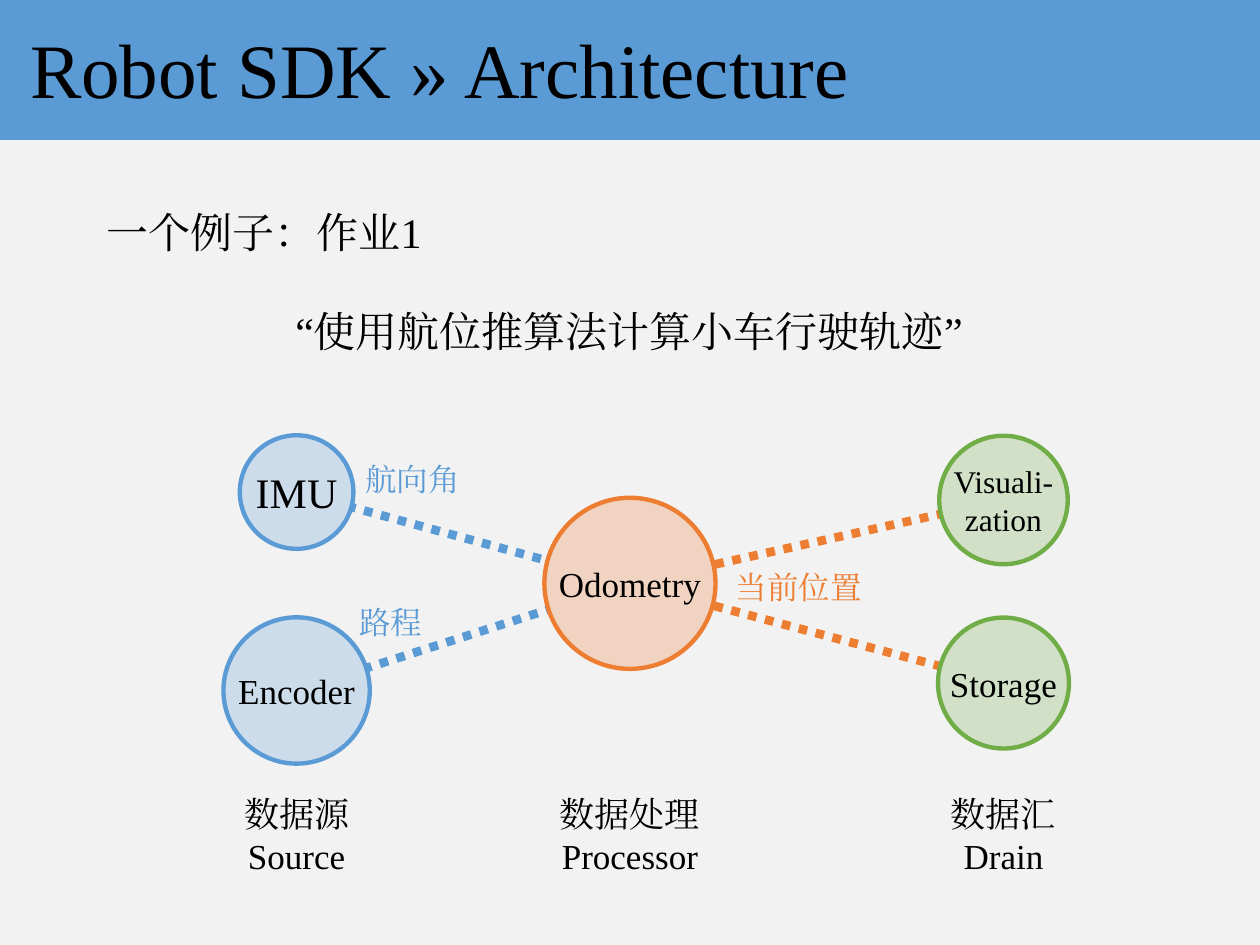
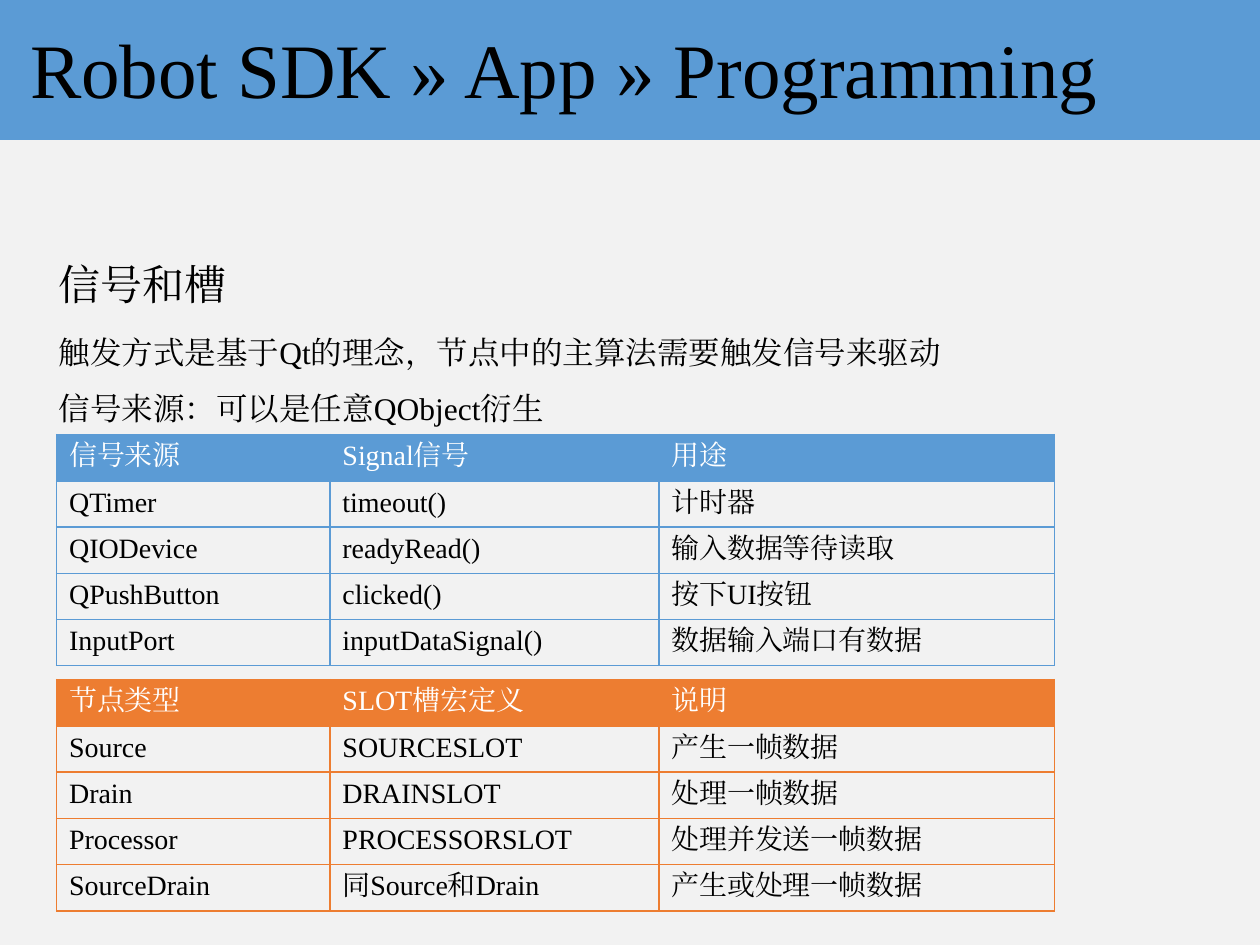
import pptx
import pptx.util
import pptx.dml.color
import pptx.enum.dml
import pptx.enum.shapes
import pptx.enum.text
import pptx.oxml
import pptx.oxml.ns
from lxml import etree

Cm, Pt = pptx.util.Cm, pptx.util.Pt
Shape = pptx.enum.shapes.MSO_SHAPE
Align = pptx.enum.text.PP_ALIGN
Anchor = pptx.enum.text.MSO_ANCHOR
qn = pptx.oxml.ns.qn


class Theme:
    font = "Times New Roman"
    blue, orange, green = "5B9BD5", "ED7D31", "70AD47"
    black, white, paper = "000000", "FFFFFF", "F2F2F2"
    title, head, node, body, cell = 44, 24, 20, 18, 16
    ring, link, rule = 2.5, 5, 1
    tint = 25


WIDE, HIGH = 25.4, 19.05
BAND = 2.82

TITLES = ("Robot SDK » Architecture", "Robot SDK » App » Programming")

LEAD = "一个例子：作业1\n“使用航位推算法计算小车行驶轨迹”"
LEFT, MID, RIGHT = 5.98, 12.7, 20.23
NODES = {
    "IMU": (LEFT, 9.92, 2.29, Theme.blue, Theme.head),
    "Encoder": (LEFT, 13.92, 2.95, Theme.blue, Theme.node),
    "Odometry": (MID, 11.76, 3.45, Theme.orange, Theme.node),
    "Visuali-\nzation": (RIGHT, 10.08, 2.59, Theme.green, Theme.body),
    "Storage": (RIGHT, 13.77, 2.64, Theme.green, Theme.node),
}
LINKS = (
    ("IMU", "Odometry", Theme.blue),
    ("Encoder", "Odometry", Theme.blue),
    ("Odometry", "Visuali-\nzation", Theme.orange),
    ("Odometry", "Storage", Theme.orange),
)
LABELS = (
    ("路程", 6.99, 12.04, 1.8, Theme.blue),
    ("航向角", 7.11, 9.14, 2.72, Theme.blue),
    ("当前位置", 14.58, 11.33, 3.07, Theme.orange),
)
ROLES = (
    ("数据源\nSource", LEFT),
    ("数据处理\nProcessor", MID),
    ("数据汇\nDrain", RIGHT),
)
ROLE_WIDE = 4.29

TOPIC = "信号和槽"
NOTES = "触发方式是基于Qt的理念，节点中的主算法需要触发信号来驱动\n信号来源：可以是任意QObject衍生"
COLS = (5.51, 6.63, 7.98)
ROW = 0.93
GRIDS = (
    (8.76, Theme.blue, (
        ("信号来源", "Signal信号", "用途"),
        ("QTimer", "timeout()", "计时器"),
        ("QIODevice", "readyRead()", "输入数据等待读取"),
        ("QPushButton", "clicked()", "按下UI按钮"),
        ("InputPort", "inputDataSignal()", "数据输入端口有数据"),
    )),
    (13.7, Theme.orange, (
        ("节点类型", "SLOT槽宏定义", "说明"),
        ("Source", "SOURCESLOT", "产生一帧数据"),
        ("Drain", "DRAINSLOT", "处理一帧数据"),
        ("Processor", "PROCESSORSLOT", "处理并发送一帧数据"),
        ("SourceDrain", "同Source和Drain", "产生或处理一帧数据"),
    )),
)


def rgb(code):
    return pptx.dml.color.RGBColor.from_string(code)


def write(frame, text, size, color=Theme.black, align=Align.LEFT, space=None):
    frame.text = text
    for para in frame.paragraphs:
        para.alignment = align
        para.line_spacing = space
        for run in para.runs:
            run.font.name = Theme.font
            run.font.size = Pt(size)
            run.font.bold = False
            run.font.color.rgb = rgb(color)
            east = etree.SubElement(run._r.get_or_add_rPr(), qn("a:ea"))
            east.set("typeface", Theme.font)


def add_text(slide, box, text, size, wrap=True, **look):
    frame = slide.shapes.add_textbox(*map(Cm, box)).text_frame
    frame.word_wrap = wrap
    write(frame, text, size, **look)
    return frame


def add_form(slide, kind, box, fill):
    form = slide.shapes.add_shape(kind, *map(Cm, box))
    form.shadow.inherit = False
    form.fill.solid()
    form.fill.fore_color.rgb = rgb(fill)
    form.line.fill.background()
    return form


def add_slide(deck, title):
    slide = deck.slides.add_slide(deck.slide_layouts[6])
    slide.background.fill.solid()
    slide.background.fill.fore_color.rgb = rgb(Theme.paper)
    band = add_form(slide, Shape.RECTANGLE, (0, 0, WIDE, BAND), Theme.blue)
    frame = band.text_frame
    frame.word_wrap = True
    frame.vertical_anchor = Anchor.MIDDLE
    frame.margin_left, frame.margin_top = Cm(0.61), Cm(0.25)
    frame.margin_right, frame.margin_bottom = Cm(0.25), Cm(0.1)
    write(frame, title, Theme.title, space=0.9)
    return slide


def add_link(slide, start, end, color):
    ends = NODES[start][:2] + NODES[end][:2]
    link = slide.shapes.add_connector(
        pptx.enum.shapes.MSO_CONNECTOR.STRAIGHT, *map(Cm, ends))
    link.line.color.rgb = rgb(color)
    link.line.width = Pt(Theme.link)
    link.line.dash_style = pptx.enum.dml.MSO_LINE.ROUND_DOT
    etree.SubElement(link._element.spPr, qn("a:effectLst"))


def add_node(slide, text, x, y, size, color, type_size):
    box = (x - size / 2, y - size / 2, size, size)
    add_form(slide, Shape.OVAL, box, Theme.paper)
    disc = add_form(slide, Shape.OVAL, box, color)
    tone = disc._element.spPr.find(qn("a:solidFill")).find(qn("a:srgbClr"))
    etree.SubElement(tone, qn("a:alpha")).set("val", str(Theme.tint * 1000))
    disc.line.color.rgb = rgb(color)
    disc.line.width = Pt(Theme.ring)
    disc.text_frame.word_wrap = False
    disc.text_frame.vertical_anchor = Anchor.MIDDLE
    write(disc.text_frame, text, type_size, align=Align.CENTER)


def add_rules(cell, color):
    props = cell._tc.get_or_add_tcPr()
    for spot, side in enumerate(("a:lnL", "a:lnR", "a:lnT", "a:lnB")):
        line = etree.Element(qn(side), w=str(Pt(Theme.rule)))
        fill = etree.SubElement(line, qn("a:solidFill"))
        etree.SubElement(fill, qn("a:srgbClr")).set("val", color)
        props.insert(spot, line)


def add_grid(slide, top, color, rows):
    box = (1.14, top, sum(COLS), ROW * len(rows))
    grid = slide.shapes.add_table(len(rows), len(COLS), *map(Cm, box)).table
    grid.first_row = grid.horz_banding = False
    for col, wide in zip(grid.columns, COLS):
        col.width = Cm(wide)
    for r, row in enumerate(rows):
        grid.rows[r].height = Cm(ROW)
        for c, text in enumerate(row):
            cell = grid.cell(r, c)
            if r == 0:
                cell.fill.solid()
                cell.fill.fore_color.rgb = rgb(color)
            else:
                cell.fill.background()
            add_rules(cell, color)
            ink = Theme.black if r else Theme.white
            write(cell.text_frame, text, Theme.cell, ink)


def draw_flow(deck):
    slide = add_slide(deck, TITLES[0])
    lead = add_text(slide, (1.9, 4.04, 21.56, 3.33), LEAD, Theme.head)
    lead.paragraphs[1].alignment = Align.CENTER
    lead.paragraphs[1].space_before = Pt(28)
    for link in LINKS:
        add_link(slide, *link)
    for text, node in NODES.items():
        add_node(slide, text, *node)
    for text, x, y, wide, color in LABELS:
        add_text(slide, (x, y, wide, 1.02), text, Theme.body,
                 wrap=False, color=color)
    for text, x in ROLES:
        box = (x - ROLE_WIDE / 2, 15.85, ROLE_WIDE, 1.96)
        add_text(slide, box, text, Theme.node, align=Align.CENTER)


def draw_slots(deck):
    slide = add_slide(deck, TITLES[1])
    add_text(slide, (0.94, 4.57, 7.16, 1.63), TOPIC, Theme.head, space=1.5)
    add_text(slide, (0.94, 6.2, 19.51, 2.57), NOTES, Theme.body, space=1.5)
    for grid in GRIDS:
        add_grid(slide, *grid)


def main():
    deck = pptx.Presentation()
    deck.slide_width, deck.slide_height = Cm(WIDE), Cm(HIGH)
    draw_flow(deck)
    draw_slots(deck)
    deck.save("out.pptx")


if __name__ == "__main__":
    main()
